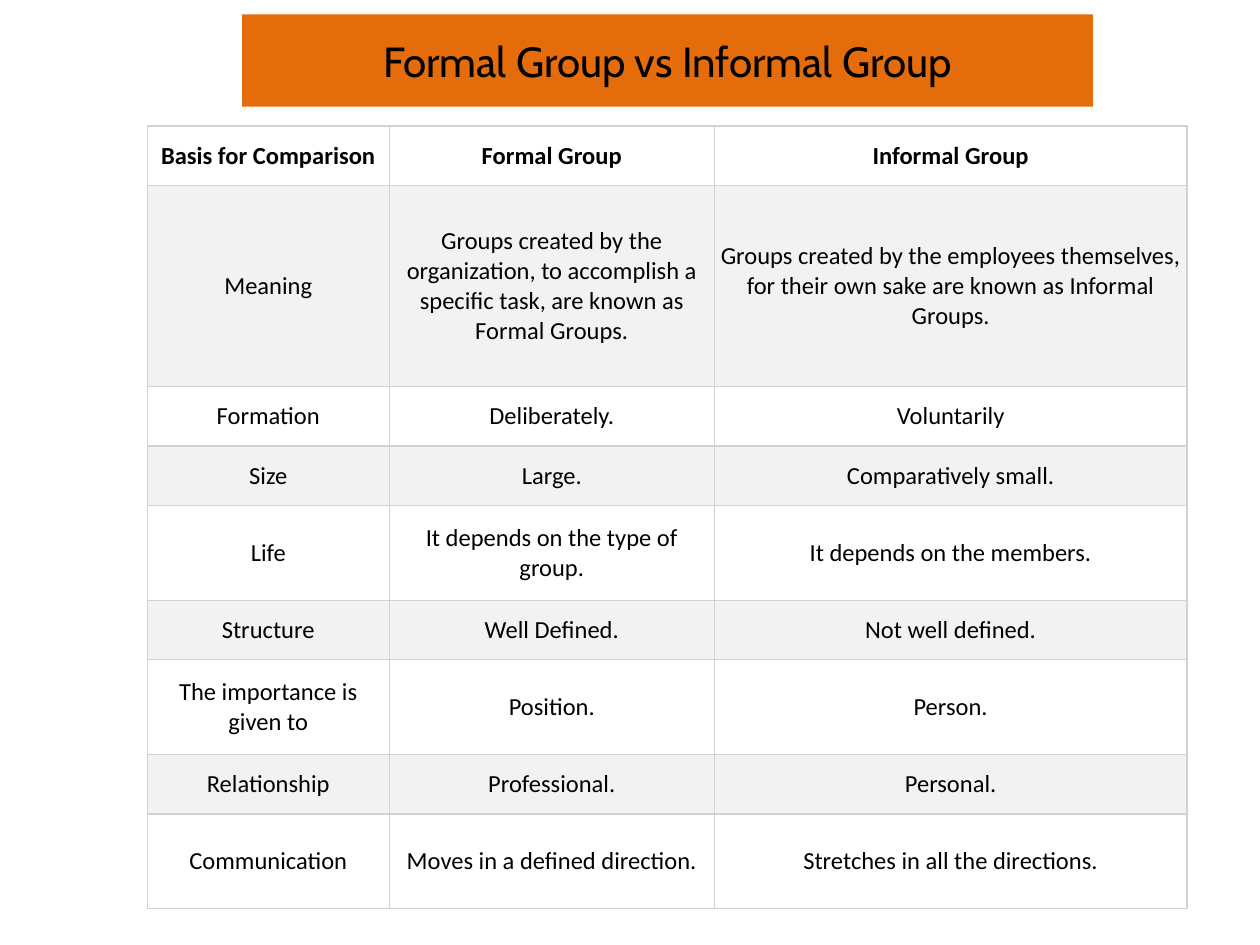
import pptx
import pptx.dml.color
import pptx.enum.text
import pptx.oxml
import pptx.oxml.ns
import pptx.util
from dataclasses import dataclass

Cm = pptx.util.Cm
Pt = pptx.util.Pt
RGBColor = pptx.dml.color.RGBColor
CENTER = pptx.enum.text.PP_ALIGN.CENTER
MIDDLE = pptx.enum.text.MSO_ANCHOR.MIDDLE


@dataclass(frozen=True)
class Theme:
    text: str = "000000"
    banner: str = "E46C0A"
    band: str = "F2F2F2"
    border: str = "D2D2D2"
    border_width: float = 0.75
    title_font: str = "Cabin"
    body_font: str = "Calibri"
    title_size: int = 24
    body_size: int = 14


THEME = Theme()

# Boxes are left, top, width, height in centimetres
TITLE_BOX = (4.88, 0.71, 17.15, 1.02)
TABLE_BOX = (2.97, 2.54, 20.96, 15.79)
COLUMN_SHARES = (1.92, 2.58, 3.75)
ONE_LINE, TWO_LINES, TALL = 1.2, 1.91, 4.05

# Each row: height, then its cells
COMPARISON = [
    (ONE_LINE, "Basis for Comparison", "Formal Group", "Informal Group"),
    (TALL, "Meaning",
     "Groups created by the organization, to accomplish a specific task, "
     "are known as Formal Groups.",
     "Groups created by the employees themselves, for their own sake "
     "are known as Informal Groups."),
    (ONE_LINE, "Formation", "Deliberately.", "Voluntarily"),
    (ONE_LINE, "Size", "Large.", "Comparatively small."),
    (TWO_LINES, "Life", "It depends on the type of group.",
     "It depends on the members."),
    (ONE_LINE, "Structure", "Well Defined.", "Not well defined."),
    (TWO_LINES, "The importance is given to", "Position.", "Person."),
    (ONE_LINE, "Relationship", "Professional.", "Personal."),
    (TWO_LINES, "Communication", "Moves in a defined direction.",
     "Stretches in all the directions."),
]


def set_attributes(target, values):
    for name, value in values.items():
        setattr(target, name, value)


def write_text(text_frame, text, font, size, bold=False):
    paragraph = text_frame.paragraphs[0]
    paragraph.alignment = CENTER
    run = paragraph.add_run()
    run.text = text
    set_attributes(run.font, {"name": font, "size": Pt(size), "bold": bold})
    run.font.color.rgb = RGBColor.from_string(THEME.text)


def add_borders(cell):
    properties = cell._tc.get_or_add_tcPr()
    for side in "LRTB":
        properties.append(pptx.oxml.parse_xml(
            f'<a:ln{side} {pptx.oxml.ns.nsdecls("a")} w="{Pt(THEME.border_width)}">'
            f'<a:solidFill><a:srgbClr val="{THEME.border}"/></a:solidFill>'
            f'</a:ln{side}>'))


def format_cell(cell, text, is_header, is_banded):
    add_borders(cell)
    set_attributes(cell, {
        "vertical_anchor": MIDDLE,
        "margin_left": Cm(0.08), "margin_right": Cm(0.08),
        "margin_top": Cm(0.15), "margin_bottom": Cm(0.15),
    })
    if is_banded:
        cell.fill.solid()
        cell.fill.fore_color.rgb = RGBColor.from_string(THEME.band)
    else:
        cell.fill.background()
    write_text(cell.text_frame, text, THEME.body_font, THEME.body_size, is_header)


# Title banner
def build_title(slide, box, text):
    title = slide.shapes.title
    left, top, width, height = map(Cm, box)
    set_attributes(title, {"left": left, "top": top, "width": width, "height": height})
    title.fill.solid()
    title.fill.fore_color.rgb = RGBColor.from_string(THEME.banner)
    set_attributes(title.text_frame, {
        "margin_left": 0, "margin_right": 0, "margin_top": 0, "margin_bottom": 0,
        "word_wrap": True, "vertical_anchor": MIDDLE,
        "auto_size": pptx.enum.text.MSO_AUTO_SIZE.SHAPE_TO_FIT_TEXT,
    })
    write_text(title.text_frame, text, THEME.title_font, THEME.title_size)


# Comparison table
def build_table(slide, box, rows):
    table = slide.shapes.add_table(len(rows), len(COLUMN_SHARES), *map(Cm, box)).table
    set_attributes(table, {"first_row": False, "horz_banding": False})
    for column, share in zip(table.columns, COLUMN_SHARES):
        column.width = Cm(box[2] * share / sum(COLUMN_SHARES))
    for row_index, (height, *texts) in enumerate(rows):
        table.rows[row_index].height = Cm(height)
        for cell, text in zip(table.rows[row_index].cells, texts):
            format_cell(cell, text, row_index == 0, row_index % 2 == 1)


def main():
    presentation = pptx.Presentation()
    set_attributes(presentation, {"slide_width": Cm(25.4), "slide_height": Cm(19.05)})
    title_only = presentation.slide_layouts.get_by_name("Title Only")
    slide = presentation.slides.add_slide(title_only)
    build_title(slide, TITLE_BOX, "Formal Group vs Informal Group")
    build_table(slide, TABLE_BOX, COMPARISON)
    presentation.save("out.pptx")


if __name__ == "__main__":
    main()
